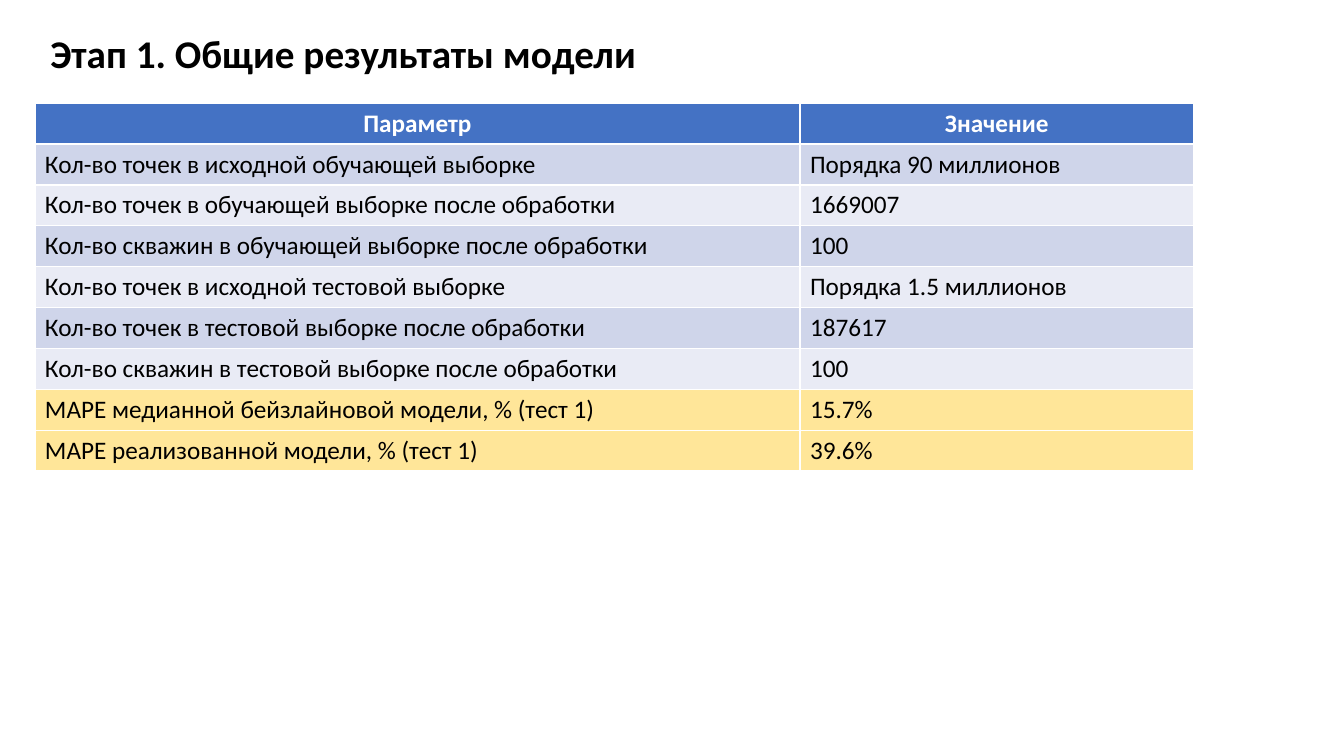
"""Build the slide with the overall results of the model at stage 1."""
from dataclasses import dataclass

from pptx import Presentation
from pptx.dml.color import RGBColor as RGB
from pptx.enum.text import MSO_ANCHOR as Anchor, PP_ALIGN as Align
from pptx.slide import Slide
from pptx.table import _Cell as Cell
from pptx.text.text import _Paragraph as Paragraph
from pptx.util import Cm, Pt


@dataclass(frozen=True)
class Theme:
    font: str = "Calibri"
    title_size: int = 28
    table_size: int = 18
    text: str = "000000"
    header_text: str = "FFFFFF"
    header: str = "4472C4"
    bands: tuple[str, str] = ("CFD5EA", "E9EBF5")
    highlight: str = "FFE699"


@dataclass(frozen=True)
class Result:
    parameter: str
    value: str
    highlighted: bool = False


THEME = Theme()
TITLE = "Этап 1. Общие результаты модели"
HEADER = Result("Параметр", "Значение")
RESULTS = [
    Result("Кол-во точек в исходной обучающей выборке", "Порядка 90 миллионов"),
    Result("Кол-во точек в обучающей выборке после обработки", "1669007"),
    Result("Кол-во скважин в обучающей выборке после обработки", "100"),
    Result("Кол-во точек в исходной тестовой выборке", "Порядка 1.5 миллионов"),
    Result("Кол-во точек в тестовой выборке после обработки", "187617"),
    Result("Кол-во скважин в тестовой выборке после обработки", "100"),
    Result("MAPE медианной бейзлайновой модели, % (тест 1)", "15.7%", True),
    Result("MAPE реализованной модели, % (тест 1)", "39.6%", True),
]
COLUMN_WIDTHS = (Cm(19.28), Cm(9.92))
ROW_HEIGHT = Cm(1.03)


def format_text(p: Paragraph, size: int, color: str, bold: bool) -> None:
    """Set the font of every run in a paragraph."""
    for r in p.runs:
        r.font.name = THEME.font
        r.font.size = Pt(size)
        r.font.bold = bold
        r.font.color.rgb = RGB.from_string(color)


def add_title(s: Slide, text: str) -> None:
    """Add the slide title."""
    tf = s.shapes.add_textbox(Cm(1.02), Cm(0.41), Cm(29.2), Cm(1.98)).text_frame
    tf.word_wrap = True
    tf.vertical_anchor = Anchor.MIDDLE
    tf.text = text
    p = tf.paragraphs[0]
    p.line_spacing = 0.9
    format_text(p, THEME.title_size, THEME.text, True)


def fill_cell(cell: Cell, text: str, fill: str, is_header: bool) -> None:
    """Write and colour one table cell."""
    cell.fill.solid()
    cell.fill.fore_color.rgb = RGB.from_string(fill)
    cell.text_frame.text = text
    p = cell.text_frame.paragraphs[0]
    p.alignment = Align.CENTER if is_header else Align.LEFT
    color = THEME.header_text if is_header else THEME.text
    format_text(p, THEME.table_size, color, is_header)


def row_fill(index: int, result: Result) -> str:
    """Choose the fill of a table row."""
    if index == 0:
        return THEME.header
    return THEME.highlight if result.highlighted else THEME.bands[(index - 1) % 2]


def add_results(s: Slide, header: Result, results: list[Result]) -> None:
    """Add the table of results."""
    rows = [header, *results]
    table = s.shapes.add_table(
        len(rows), len(COLUMN_WIDTHS), Cm(0.88), Cm(2.6),
        sum(COLUMN_WIDTHS), ROW_HEIGHT * len(rows),
    ).table
    for column, width in zip(table.columns, COLUMN_WIDTHS):
        column.width = width
    for i, result in enumerate(rows):
        table.rows[i].height = ROW_HEIGHT
        for j, text in enumerate((result.parameter, result.value)):
            fill_cell(table.cell(i, j), text, row_fill(i, result), i == 0)


def main() -> None:
    """Build and save the presentation."""
    prs = Presentation()
    prs.slide_width, prs.slide_height = Cm(33.87), Cm(19.05)
    s = prs.slides.add_slide(prs.slide_layouts[6])
    add_title(s, TITLE)
    add_results(s, HEADER, RESULTS)
    prs.save("out.pptx")


if __name__ == "__main__":
    main()
